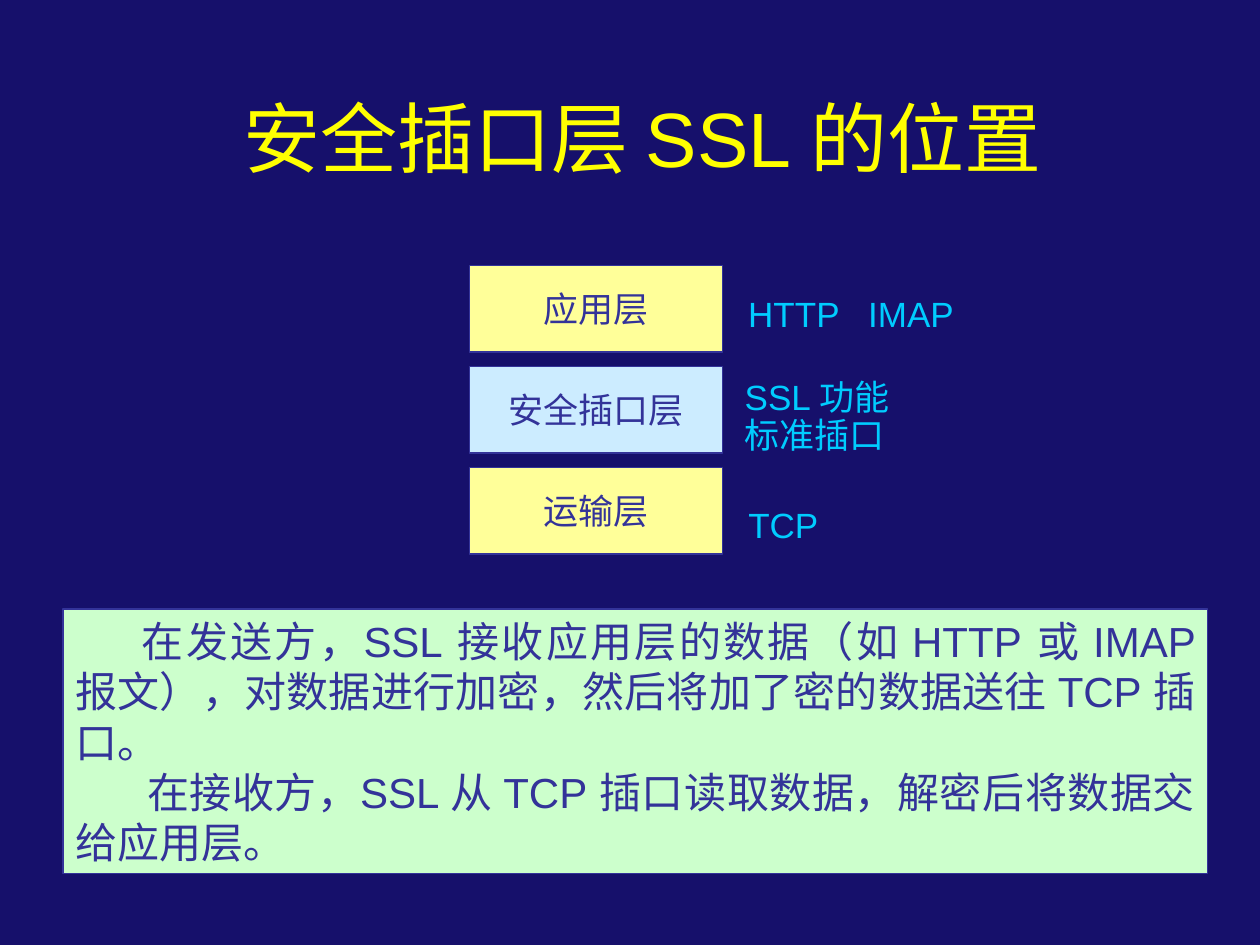
from lxml.etree import SubElement
from pptx import Presentation
from pptx.dml.color import RGBColor
from pptx.enum.shapes import MSO_SHAPE
from pptx.enum.text import MSO_ANCHOR, MSO_AUTO_SIZE, PP_ALIGN
from pptx.oxml.ns import qn
from pptx.util import Pt


def rgb(value):
    return RGBColor.from_string(value)


def write(sp, lines, size, color, **formats):
    tf = sp.text_frame
    tf.word_wrap = formats.pop("wrap", False)
    tf.vertical_anchor = formats.pop("anchor", MSO_ANCHOR.TOP)
    tf.auto_size = formats.pop("fit", MSO_AUTO_SIZE.NONE)
    for i, line in enumerate(lines):
        p = tf.add_paragraph() if i else tf.paragraphs[0]
        for name, value in formats.items():
            setattr(p, name, value)
        r = p.add_run()
        r.text = line
        for name, value in {"size": Pt(size), "name": "Arial"}.items():
            setattr(r.font, name, value)
        r.font.color.rgb = rgb(color)
    return tf


prs = Presentation()
prs.slide_width, prs.slide_height = Pt(720), Pt(540)
s = prs.slides.add_slide(prs.slide_layouts[6])
s.background.fill.solid()
s.background.fill.fore_color.rgb = rgb("16106B")

title = s.shapes.add_textbox(Pt(66), Pt(42), Pt(612), Pt(72))
write(title, ["安全插口层 SSL 的位置 "], 44, "FFFF01",
      wrap=True, anchor=MSO_ANCHOR.MIDDLE, alignment=PP_ALIGN.CENTER)

layers = [("应用层", "FFFF99"), ("安全插口层", "CCECFF"), ("运输层", "FFFF99")]
boxes = [(268.2, 151.7 + 57.7 * i, 144.5, 49.5, fill) for i, (_, fill) in enumerate(layers)]
boxes.append((36, 348, 654, 151, "CCFFCC"))
shapes = []
for x, y, w, h, fill in boxes:
    sp = s.shapes.add_shape(MSO_SHAPE.RECTANGLE, Pt(x), Pt(y), Pt(w), Pt(h))
    sp.shadow.inherit = False
    sp.fill.solid()
    sp.fill.fore_color.rgb = rgb(fill)
    sp.line.color.rgb = rgb("333399")
    sp.line.width = Pt(0.75)
    shapes.append(sp)

for sp, (name, _) in zip(shapes, layers):
    write(sp, [name], 20, "333399", anchor=MSO_ANCHOR.MIDDLE, alignment=PP_ALIGN.CENTER)

labels = [
    (420.5, 163.5, 132.5, 31.5, ["HTTP\tIMAP"], 1),
    (418.5, 214, 102, 50.5, ["SSL 功能", "标准插口"], 0.9),
    (420.5, 284, 60, 31.5, ["TCP"], 1),
]
for x, y, w, h, lines, spacing in labels:
    sp = s.shapes.add_textbox(Pt(x), Pt(y), Pt(w), Pt(h))
    tf = write(sp, lines, 20, "00CCFF", wrap=True,
               alignment=PP_ALIGN.LEFT, line_spacing=spacing)
    if "\t" in lines[0]:
        tabs = SubElement(tf.paragraphs[0]._p.get_or_add_pPr(), qn("a:tabLst"))
        SubElement(tabs, qn("a:tab"), pos=str(Pt(68.5)), algn="l")

steps = [
    "在发送方，SSL 接收应用层的数据（如 HTTP 或 IMAP 报文），对数据进行加密，然后将加了密的数据送往 TCP 插口。",
    "在接收方，SSL 从 TCP 插口读取数据，解密后将数据交给应用层。",
]
tf = write(shapes[-1], steps, 24, "333399", wrap=True,
           fit=MSO_AUTO_SIZE.SHAPE_TO_FIT_TEXT, alignment=PP_ALIGN.JUSTIFY)
for p, indent in zip(tf.paragraphs, (38, 41)):
    p._p.get_or_add_pPr().set("indent", str(Pt(indent)))

prs.save("out.pptx")
